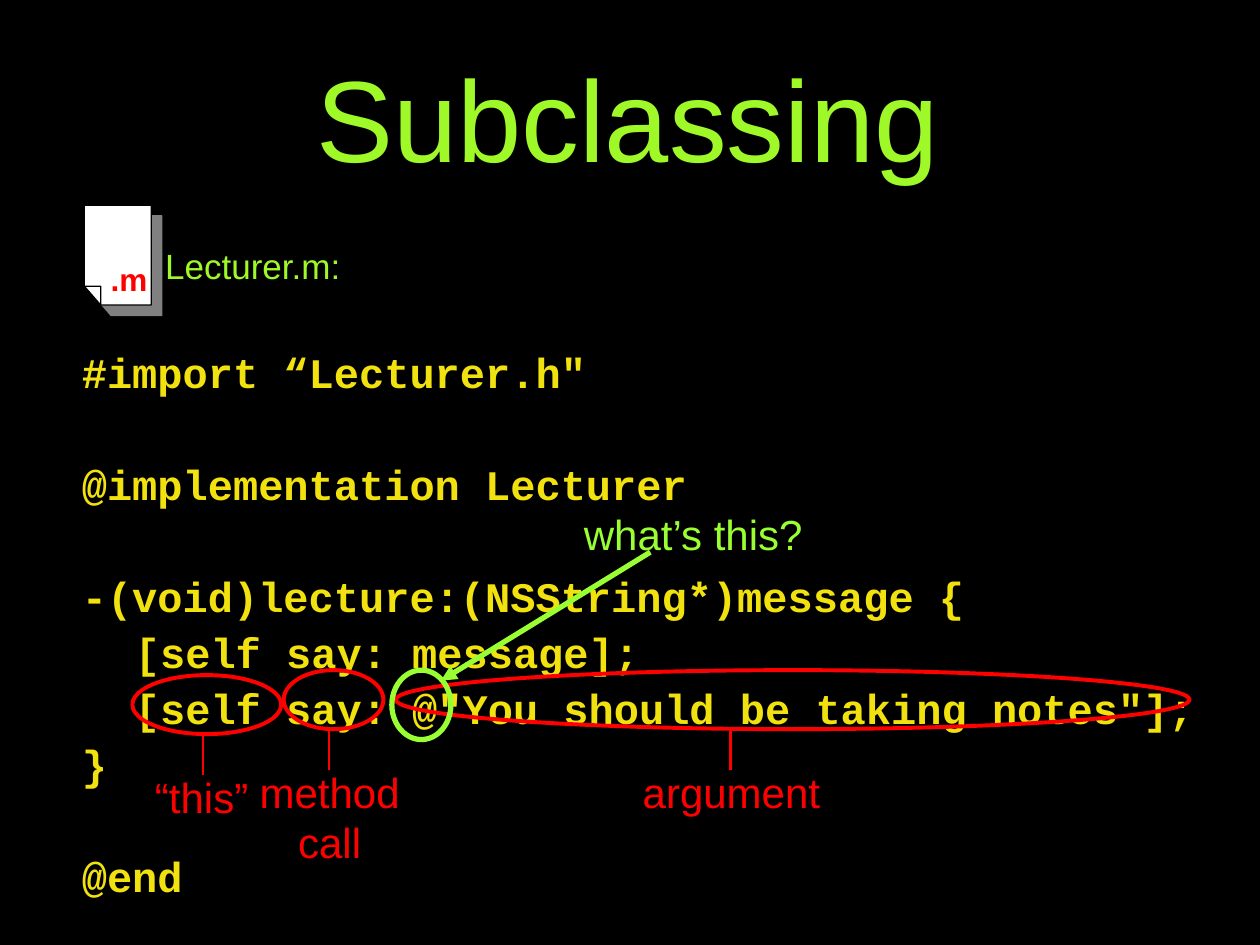
"""Build a slide that explains a subclass implementation with annotated code."""
from lxml.etree import SubElement
from pptx import Presentation
from pptx.dml.color import RGBColor
from pptx.enum.shapes import MSO_CONNECTOR, MSO_SHAPE
from pptx.enum.text import MSO_ANCHOR, PP_ALIGN
from pptx.oxml.ns import qn
from pptx.util import Cm, Pt

BLACK = RGBColor(0x00, 0x00, 0x00)
WHITE = RGBColor(0xFF, 0xFF, 0xFF)
LIME = RGBColor(0x9F, 0xF8, 0x28)
GREEN = RGBColor(0x99, 0xFF, 0x33)
YELLOW = RGBColor(0xF1, 0xE1, 0x0F)
RED = RGBColor(0xFF, 0x00, 0x00)


def write(shapes, text, box, size, color, font="Arial", bold=False, align=PP_ALIGN.CENTER,
          anchor=MSO_ANCHOR.TOP, wrap=False, insets=(0.25, 0.13, 0.25, 0.13)):
    frame = shapes.add_textbox(*map(Cm, box)).text_frame
    frame.word_wrap = wrap
    frame.vertical_anchor = anchor
    frame.margin_left, frame.margin_top, frame.margin_right, frame.margin_bottom = map(Cm, insets)
    frame.text = text
    for paragraph in frame.paragraphs:
        paragraph.alignment = align
        paragraph.font.name = font
        paragraph.font.size = Pt(size)
        paragraph.font.bold = bold
        paragraph.font.color.rgb = color
    return frame


deck = Presentation()
deck.slide_width, deck.slide_height = Cm(25.4), Cm(19.05)
slide = deck.slides.add_slide(deck.slide_layouts[6])
slide.background.fill.solid()
slide.background.fill.fore_color.rgb = BLACK

write(slide.shapes, "Subclassing", (1.27, 0.18, 22.86, 4.34), 66, LIME,
      anchor=MSO_ANCHOR.MIDDLE, wrap=True, insets=(0.15, 0.15, 0.25, 0.15))
write(slide.shapes, "Lecturer.m:", (3.33, 4.92, 6, 0.9), 20, LIME,
      align=PP_ALIGN.LEFT, insets=(0, 0, 0, 0))

# (text, empty lines above, indented)
code_lines = [
    ("#import “Lecturer.h\"", 0, False),
    ("@implementation Lecturer", 1, False),
    ("-(void)lecture:(NSString*)message {", 1, False),
    ("[self say: message];", 0, True),
    ("[self say: @\"You should be taking notes\"];", 0, True),
    ("}", 0, False),
    ("@end", 1, False),
]
code = write(slide.shapes, "\n".join(line for line, _, _ in code_lines), (1.65, 7.2, 22.5, 11),
             24, YELLOW, font="Courier New", bold=True, align=PP_ALIGN.LEFT, insets=(0, 0, 0, 0))
for number, (paragraph, (_, gap, indented)) in enumerate(zip(code.paragraphs, code_lines)):
    paragraph.line_spacing = Pt(23)
    paragraph.space_before = Pt(9 + 32 * gap if number else 0)
    if indented:
        paragraph._p.get_or_add_pPr().set("marL", str(Cm(1.07)))

left, top, right, bottom, fold_x, fold_y = map(Cm, (1.7, 4.14, 3.05, 6.15, 2.03, 5.77))
page_outline = [(left, top), (right, top), (right, bottom), (fold_x, bottom), (left, fold_y)]
fold_outline = [(left, fold_y), (fold_x, fold_y), (fold_x, bottom)]
for outline, shadowed in ((page_outline, True), (fold_outline, False)):
    builder = slide.shapes.build_freeform(*outline[0])
    builder.add_line_segments(outline[1:], close=True)
    paper = builder.convert_to_shape()
    paper.shadow.inherit = False
    paper.fill.solid()
    paper.fill.fore_color.rgb = WHITE
    paper.line.color.rgb = BLACK
    paper.line.width = Pt(0.75)
    if shadowed:
        effects = paper._element.spPr.find(qn("a:effectLst"))
        shadow = SubElement(effects, qn("a:outerShdw"), dist=str(Pt(8.5)), dir="2700000",
                            algn="ctr", rotWithShape="0")
        SubElement(shadow, qn("a:srgbClr"), val="808080")
write(slide.shapes, ".m", (1.7, 5.11, 1.8, 1.02), 18, RED, bold=True, wrap=True)

callouts = [
    ("“this”", (2.87, 15.42, 2.39, 1.27), (2.67, 13.61, 3, 1.19),
     (4.09, 14.81, 4.09, 15.62), RED, 2.25, 1.5, False),
    ("method\ncall", (4.98, 15.32, 3.33, 2.29), (5.72, 13.51, 2.01, 1.19),
     (6.63, 14.73, 6.63, 15.52), RED, 2.25, 1.5, False),
    ("argument", (12.7, 15.32, 4.09, 1.27), (7.98, 13.51, 16, 1.19),
     (14.73, 14.73, 14.73, 15.52), RED, 2.25, 1.5, False),
    ("what’s this?", (11.51, 10.13, 4.93, 1.27), (7.9, 13.51, 1.19, 1.4),
     (13.11, 11.13, 8.89, 13.72), GREEN, 3, 3, True),
]
for label, label_box, ring_box, ends, color, ring_width, leader_width, arrow in callouts:
    group = slide.shapes.add_group_shape().shapes
    ring = group.add_shape(MSO_SHAPE.OVAL, *map(Cm, ring_box))
    ring.shadow.inherit = False
    ring.fill.background()
    ring.line.color.rgb = color
    ring.line.width = Pt(ring_width)
    write(group, label, label_box, 24, color)
    leader = group.add_connector(MSO_CONNECTOR.STRAIGHT, *map(Cm, ends))
    leader.line.color.rgb = color
    leader.line.width = Pt(leader_width)
    if arrow:
        SubElement(leader.line._get_or_add_ln(), qn("a:tailEnd"), type="triangle")
    SubElement(leader._element.spPr, qn("a:effectLst"))

deck.save("out.pptx")
